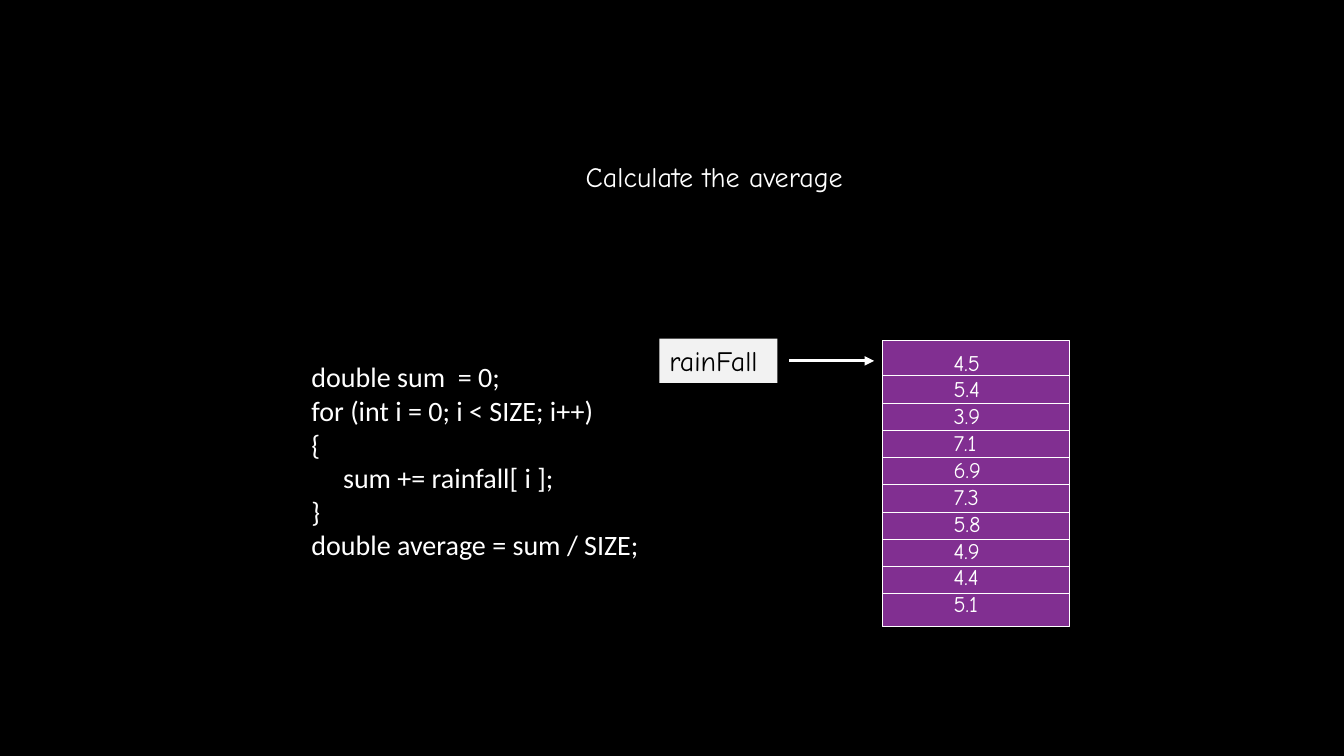
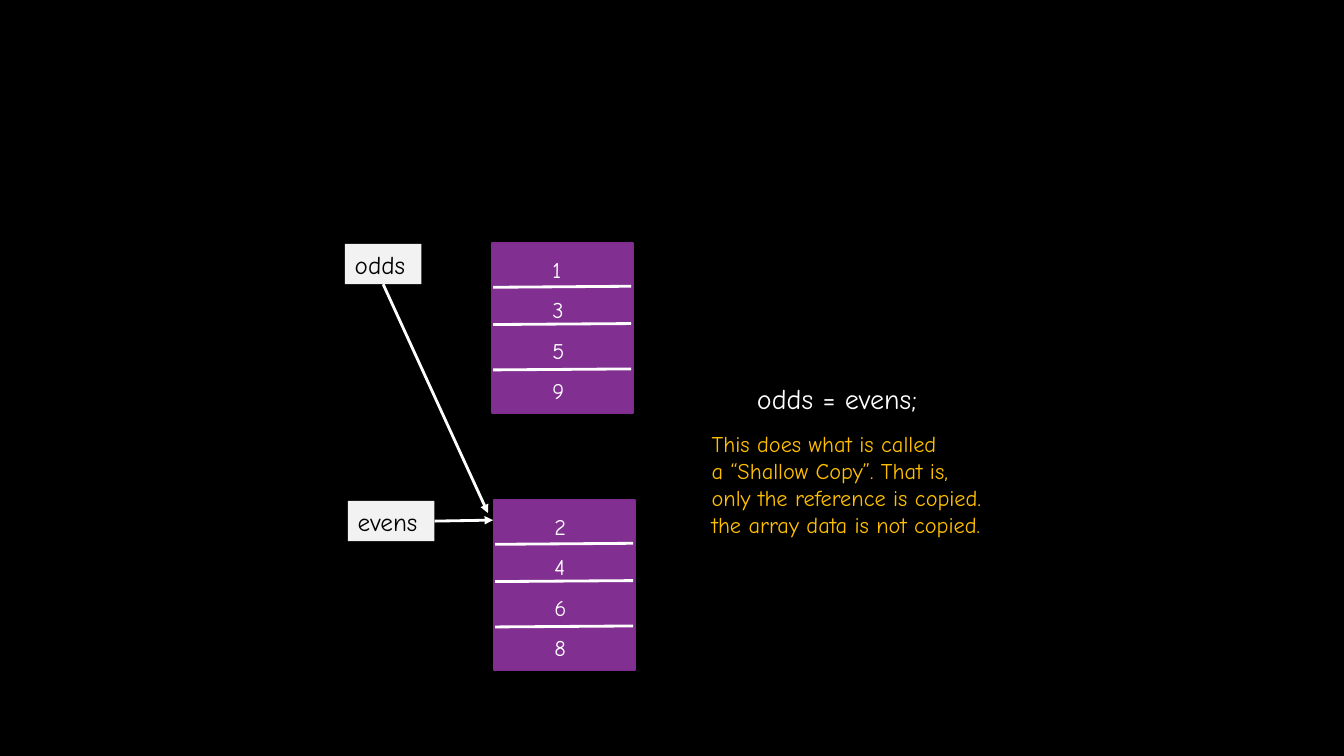
from pptx import Presentation
from pptx.dml.color import RGBColor
from pptx.enum.shapes import MSO_CONNECTOR, MSO_SHAPE
from pptx.enum.text import MSO_ANCHOR, PP_ALIGN
from pptx.oxml.ns import qn
from pptx.util import Inches, Pt
from lxml import etree

STRAIGHT = MSO_CONNECTOR.STRAIGHT
RECTANGLE = MSO_SHAPE.RECTANGLE
TOP = MSO_ANCHOR.TOP
LEFT, CENTER = PP_ALIGN.LEFT, PP_ALIGN.CENTER

BLACK = RGBColor(0x00, 0x00, 0x00)
WHITE = RGBColor(0xFF, 0xFF, 0xFF)
LABEL_GRAY = RGBColor(0xF2, 0xF2, 0xF2)
PURPLE = RGBColor(0x81, 0x2F, 0x91)
PURPLE_EDGE = RGBColor(0x7F, 0x2E, 0x8F)
AMBER = RGBColor(0xFF, 0xC0, 0x00)

HAND_FONT = "Comic Neue"
CODE_FONT = "Calibri"
BOTTOM_SIDE, RIGHT_SIDE = 2, 3

RAINFALL = ["4.5", "5.4", "3.9", "7.1", "6.9", "7.3", "5.8", "4.9", "4.4", "5.1"]
AVERAGE_CODE = [
    "double sum  = 0;",
    "for (int i = 0; i < SIZE; i++)",
    "{",
    "     sum += rainfall[ i ];",
    "}",
    "double average = sum / SIZE;",
]
COPY_NOTE = [
    "This does what is called",
    "a “Shallow Copy”. That is,",
    "only the reference is copied.",
    "the array data is not copied.",
]


def place(*lengths):
    return [Inches(length) for length in lengths]


# Text and shapes
def write_lines(box, lines, size, color, font=HAND_FONT, align=LEFT, spacing=1.0):
    frame = box.text_frame
    frame.word_wrap = True
    frame.vertical_anchor = TOP
    for index, line in enumerate(lines):
        para = frame.add_paragraph() if index else frame.paragraphs[0]
        para.text = line
        para.alignment = align
        para.line_spacing = spacing
        para.font.name = font
        para.font.size = Pt(size)
        para.font.color.rgb = color


def add_text(page, area, lines, size, color=WHITE, **style):
    box = page.shapes.add_textbox(*place(*area))
    write_lines(box, lines, size, color, **style)


def add_box(page, area, fill, edge=None, edge_width=0):
    box = page.shapes.add_shape(RECTANGLE, *place(*area))
    box.shadow.inherit = False
    box.fill.solid()
    box.fill.fore_color.rgb = fill
    if edge is None:
        box.line.fill.background()
    else:
        box.line.color.rgb = edge
        box.line.width = Pt(edge_width)
    return box


def add_label(page, area, name, size):
    label = add_box(page, area, LABEL_GRAY)
    write_lines(label, [name], size, BLACK)
    return label


# Lines and arrows
def add_line(page, start, end, width):
    line = page.shapes.add_connector(STRAIGHT, *place(*start, *end))
    line.line.color.rgb = WHITE
    line.line.width = Pt(width)
    etree.SubElement(line._element.spPr, qn("a:effectLst"))
    return line


def add_arrow(page, start, end, width):
    arrow = add_line(page, start, end, width)
    etree.SubElement(arrow.line._get_or_add_ln(), qn("a:tailEnd"), type="triangle")
    return arrow


# Arrays drawn as stacked cells
def add_rainfall_array(page, left, top):
    add_box(page, (left, top, 1.86, 2.84), PURPLE, WHITE, 0.75)
    for index in range(len(RAINFALL) - 1):
        y = top + 0.35 + 0.27 * index
        add_line(page, (left + 0.01, y), (left + 1.85, y), 0.75)
    add_text(page, (left + 0.61, top + 0.03, 0.53, 2.77), RAINFALL, 16)


def add_small_array(page, left, top, values):
    add_box(page, (left, top, 1.4, 1.69), PURPLE, PURPLE_EDGE, 1.5)
    add_text(page, (left + 0.5, top - 0.05, 0.34, 1.72), values, 16, spacing=1.5)
    for drop in (0.44, 0.81, 1.26):
        y = top + drop
        add_line(page, (left + 0.01, y), (left + 1.38, y - 0.01), 2)


# Slides
def add_page(deck):
    return deck.slides.add_slide(deck.slide_layouts[6])


def build_average_page(deck):
    page = add_page(deck)
    add_text(page, (5.59, 1.53, 2.99, 0.43), ["Calculate the average"], 20, align=CENTER)
    add_rainfall_array(page, 8.75, 3.38)
    add_text(page, (2.99, 3.52, 3.48, 2.12), AVERAGE_CODE, 20, font=CODE_FONT)
    add_label(page, (6.54, 3.36, 1.17, 0.44), "rainFall", 20)
    add_arrow(page, (7.83, 3.58), (8.67, 3.58), 2.25)


def build_shallow_copy_page(deck):
    page = add_page(deck)
    add_small_array(page, 4.88, 2.41, ["1", "3", "5", "9"])
    add_small_array(page, 4.9, 4.96, ["2", "4", "6", "8"])

    # Both references lead to the second array
    odds = add_label(page, (3.42, 2.42, 0.76, 0.4), "odds", 18)
    evens = add_label(page, (3.45, 4.97, 0.86, 0.4), "evens", 18)
    odds_arrow = add_arrow(page, (3.8, 2.82), (4.84, 5.09), 2)
    odds_arrow.begin_connect(odds, BOTTOM_SIDE)
    evens_arrow = add_arrow(page, (4.31, 5.17), (4.89, 5.16), 2)
    evens_arrow.begin_connect(evens, RIGHT_SIDE)

    add_text(page, (7.41, 3.74, 1.94, 0.44), ["odds = evens;"], 20)
    add_text(page, (6.96, 4.22, 3.19, 1.18), COPY_NOTE, 16, AMBER)


def main():
    deck = Presentation()
    deck.slide_width, deck.slide_height = place(13.33, 7.5)
    backdrop = deck.slide_master.background.fill
    backdrop.solid()
    backdrop.fore_color.rgb = BLACK
    build_average_page(deck)
    build_shallow_copy_page(deck)
    deck.save("out.pptx")


if __name__ == "__main__":
    main()
